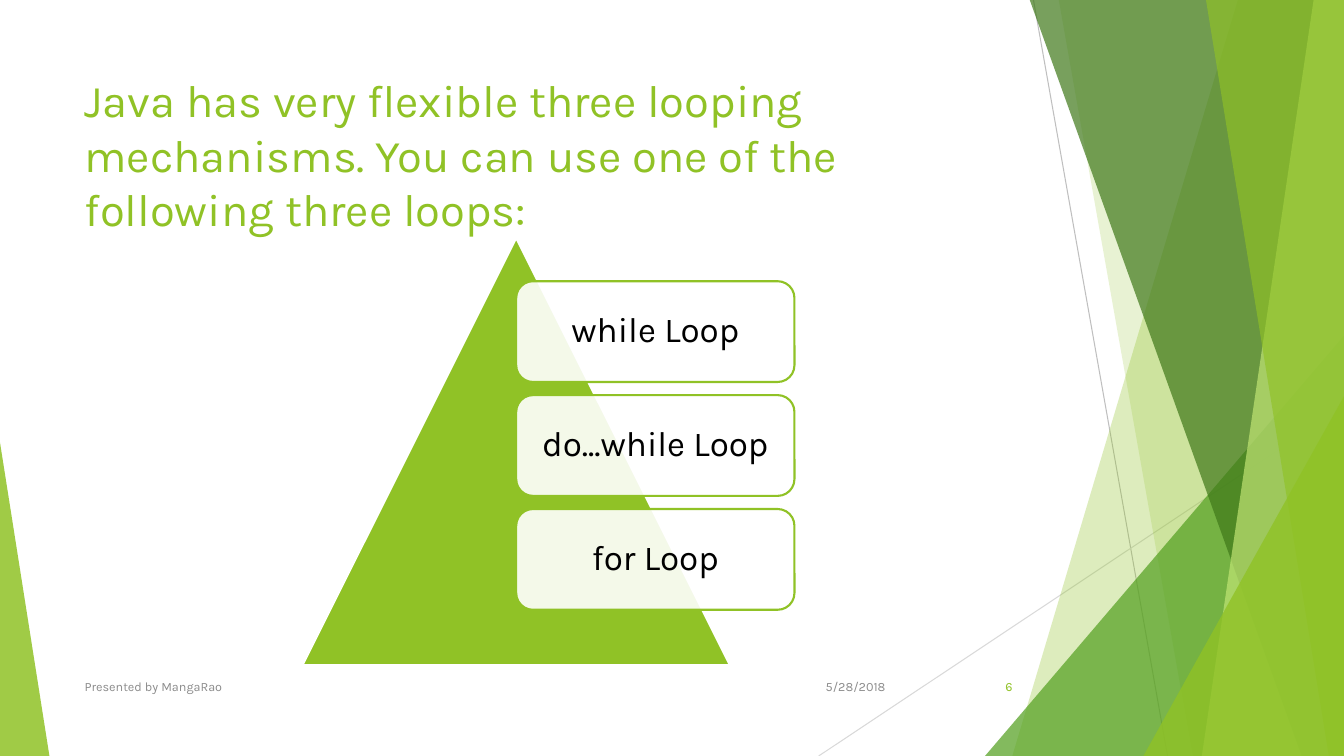
from lxml.etree import SubElement
from pptx import Presentation
from pptx.dml.color import RGBColor
from pptx.enum.shapes import MSO_CONNECTOR, MSO_SHAPE
from pptx.enum.text import MSO_ANCHOR, PP_ALIGN
from pptx.oxml.ns import qn
from pptx.util import Inches, Pt

LIME = RGBColor(0x90, 0xC2, 0x26)
GREEN = RGBColor(0x54, 0xA0, 0x21)
FOREST = RGBColor(0x3F, 0x78, 0x19)
PALE_LIME = RGBColor(0xC0, 0xE4, 0x74)
WHITE = RGBColor(0xFF, 0xFF, 0xFF)
BLACK = RGBColor(0, 0, 0)
GRAY = RGBColor(0x8C, 0x8C, 0x8C)
SILVER = RGBColor(0xBF, 0xBF, 0xBF)
LIGHT_GRAY = RGBColor(0xD9, 0xD9, 0xD9)

WIDTH, HEIGHT = 13.33, 7.5
FACET_TOP = -0.01


class SlideBuilder:
    font_name = "Karla"

    def __init__(self, slide):
        self.shapes = slide.shapes

    def paint(self, shape, color, opacity=100, outline=None):
        shape.shadow.inherit = False
        shape.fill.solid()
        shape.fill.fore_color.rgb = color
        if opacity < 100:
            solid = shape.fill._xPr.find(qn("a:solidFill"))
            SubElement(solid[0], qn("a:alpha"), val=str(opacity * 1000))
        if outline is None:
            shape.line.fill.background()
        else:
            shape.line.color.rgb = outline
            shape.line.width = Pt(1.5)

    def line(self, start, end, color):
        connector = self.shapes.add_connector(
            MSO_CONNECTOR.STRAIGHT, *map(Inches, start + end))
        connector.line.color.rgb = color
        connector.line.width = Pt(0.75)
        SubElement(connector._element.spPr, qn("a:effectLst"))

    def facet(self, top_x, bottom_x, color, opacity):
        corners = [(top_x, FACET_TOP), (WIDTH, FACET_TOP),
                   (WIDTH, HEIGHT), (bottom_x, HEIGHT)]
        first, *rest = [(Inches(x), Inches(y)) for x, y in corners]
        outline = self.shapes.build_freeform(*first)
        outline.add_line_segments(rest, close=True)
        self.paint(outline.convert_to_shape(), color, opacity)

    def triangle(self, box, apex, color, opacity=100, outline=None):
        triangle = self.shapes.add_shape(
            MSO_SHAPE.ISOSCELES_TRIANGLE, *map(Inches, box))
        triangle.adjustments[0] = apex
        self.paint(triangle, color, opacity, outline)

    def text(self, box, words, size, color, align=PP_ALIGN.LEFT,
             anchor=MSO_ANCHOR.MIDDLE):
        frame = self.shapes.add_textbox(*map(Inches, box)).text_frame
        frame.word_wrap = True
        frame.vertical_anchor = anchor
        paragraph = frame.paragraphs[0]
        paragraph.text = words
        paragraph.alignment = align
        paragraph.font.name = self.font_name
        paragraph.font.size = Pt(size)
        paragraph.font.color.rgb = color
        return frame

    def loop_card(self, top, words):
        left, width, height, inset = 5.12, 2.76, 1, 0.05
        card = self.shapes.add_shape(
            MSO_SHAPE.ROUNDED_RECTANGLE,
            *map(Inches, (left, top, width, height)))
        self.paint(card, WHITE, 90, LIME)
        label_box = (left + inset, top + inset,
                     width - 2 * inset, height - 2 * inset)
        label = self.text(label_box, words, 25, BLACK, PP_ALIGN.CENTER)
        label.margin_left = label.margin_right = Inches(0.1)
        label.margin_top = label.margin_bottom = Inches(0.1)
        label.paragraphs[0].line_spacing = 0.9


def main():
    presentation = Presentation()
    presentation.slide_width = Inches(WIDTH)
    presentation.slide_height = Inches(HEIGHT)
    builder = SlideBuilder(
        presentation.slides.add_slide(presentation.slide_layouts[6]))

    builder.line((10.25, 0), (11.58, HEIGHT), SILVER)
    builder.line((WIDTH, 4.03), (8.12, HEIGHT), LIGHT_GRAY)
    builder.facet(12.28, 10.04, LIME, 30)
    builder.facet(10.5, 11.83, LIME, 20)
    builder.triangle((9.77, 3.33, 3.56, 4.17), 1, GREEN, 72)
    builder.facet(10.21, 12.91, FOREST, 70)
    builder.facet(13.03, 11.92, PALE_LIME, 70)
    builder.facet(11.96, 13.18, LIME, 65)
    builder.triangle((11.34, 3.93, 1.99, 3.57), 1, LIME, 80)
    builder.triangle((0, 4.39, 0.49, 3.11), 0, LIME, 85)

    builder.text(
        (0.74, 0.67, 9.4, 1.44),
        "Java has very flexible three looping mechanisms. "
        "You can use one of the following three loops:",
        32.4, LIME, anchor=MSO_ANCHOR.TOP)

    builder.triangle((3, 2.36, 4.24, 4.24), 0.5, LIME, outline=WHITE)
    for row, loop in enumerate(("while Loop", "do...while Loop", "for Loop")):
        builder.loop_card(2.79 + row * 1.13, loop)

    builder.text((7.88, 6.61, 1, 0.4), "5/28/2018", 9, GRAY, PP_ALIGN.RIGHT)
    builder.text((0.74, 6.61, 6.89, 0.4), "Presented by MangaRao", 9, GRAY)
    builder.text((9.39, 6.61, 0.75, 0.4), "6", 9, LIME, PP_ALIGN.RIGHT)

    presentation.save("out.pptx")


if __name__ == "__main__":
    main()
